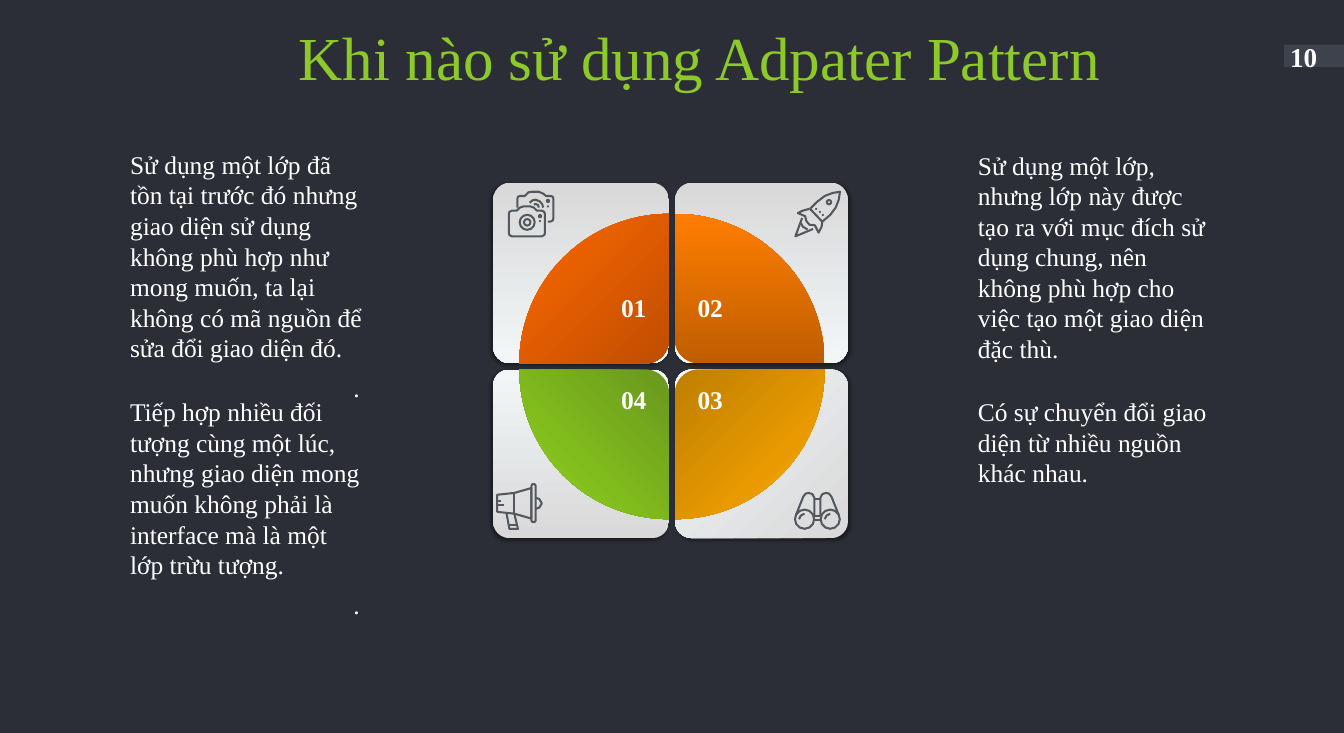
from math import cos, pi, sin

from lxml import etree
from pptx import Presentation
from pptx.dml.color import RGBColor
from pptx.enum.shapes import MSO_SHAPE
from pptx.enum.text import MSO_ANCHOR, MSO_AUTO_SIZE, PP_ALIGN
from pptx.oxml.ns import qn
from pptx.util import Pt

RECT, ROUND, OVAL = MSO_SHAPE.RECTANGLE, MSO_SHAPE.ROUNDED_RECTANGLE, MSO_SHAPE.OVAL
LEFT, RIGHT = PP_ALIGN.LEFT, PP_ALIGN.RIGHT
TOP, MIDDLE = MSO_ANCHOR.TOP, MSO_ANCHOR.MIDDLE
GROW, FIXED = MSO_AUTO_SIZE.SHAPE_TO_FIT_TEXT, MSO_AUTO_SIZE.NONE

COLORS = {"back": "2B2E36", "tab": "3D424D", "title": "8DC928", "text": "FFFFFF",
          "icon": "53585F", "panel_dark": "D9D9D9", "panel_light": "F2F6F7",
          "shadow": "000000"}
BODY = {"name": "Times New Roman", "size": Pt(30), "bold": False}
LABEL = {**BODY, "bold": True}
PAGE = {**LABEL, "size": Pt(32)}
HEADING = {**BODY, "size": Pt(72)}
HALF_GAP, PETAL_RADIUS, CORNER_RADIUS, ICON_UNIT = 3.6, 176.4, 28, 0.72

CAMERAS = {
    "strokes": [
        [(2, 38), (3, 35), (7, 33), (15, 33), (20, 28), (26, 26), (37, 26), (43, 28),
         (48, 33), (56, 33), (60, 35), (61, 38), (61, 70), (60, 73), (56, 75), (7, 75),
         (3, 73), (2, 70), (2, 38)],
        [(16, 28), (16, 14), (17, 10), (21, 9), (28, 9), (34, 3), (40, 2), (51, 2),
         (58, 5), (63, 9), (70, 9), (74, 10), (75, 14), (75, 45), (74, 49), (70, 51), (66, 51)],
        [(36, 20), (41, 16), (46, 15), (53, 18), (57, 23), (58, 28)],
        [(43, 23), (46, 22), (50, 24), (51, 28)]],
    "rings": [(32, 52, 12.3), (32, 52, 5.3)],
    "dots": [(53, 42, 3.5), (53, 50, 1.7), (66, 17, 3.5), (66, 26, 1.7)]}
ROCKET = {
    "strokes": [
        [(26, 30), (37, 19), (50, 9), (63, 4), (75, 2), (73, 15), (68, 28), (59, 40),
         (46, 51), (26, 30)],
        [(25, 30), (14, 33), (6, 37), (18, 42), (20, 50), (25, 56), (34, 57), (40, 69),
         (45, 59), (46, 51)],
        [(13, 45), (2, 75), (31, 63)],
        [(11, 53), (14, 59), (22, 64)]],
    "rings": [(57, 19, 3.5)],
    "dots": [(36, 30, 1.7), (42, 35, 1.7), (47, 40, 1.7)]}
MEGAPHONE = {
    "strokes": [
        [(2, 19), (30, 16), (58, 8), (58, 58), (30, 50), (2, 47), (2, 19)],
        [(30, 16), (30, 50)],
        [(58, 5), (59, 2), (61, 1.5), (64, 2), (65, 5), (65, 61), (64, 63), (61, 64),
         (59, 63), (58, 61), (58, 5)],
        [(17, 48), (22, 75), (36, 75), (30, 50)],
        [(22, 68), (35, 68)],
        [(65, 24), (71, 26), (75, 33), (71, 40), (65, 42)],
        [(2, 29), (9, 29)], [(2, 36), (13, 36)]],
    "rings": [], "dots": []}
BARREL = [(3, 38), (15, 8), (19, 3), (24, 2), (30, 4), (33, 10), (33, 40)]
BINOCULARS = {
    "strokes": [
        BARREL, [(76 - x, y) for x, y in BARREL],
        *[[(33, y), (43, y)] for y in (12, 40, 47)],
        *[[(x, 45), (x + 3, 39), (x + 9, 36)] for x in (8, 50)]],
    "rings": [(17, 45, 15.7), (59, 45, 15.7)], "dots": []}

QUADRANTS = [
    {"label": "01", "side": (-1, -1), "size": (207.4, 213.1), "panel_angle": 90,
     "shades": ("BF4E00", "FF6800"), "petal_angle": None,
     "icon": CAMERAS, "icon_at": (17.3, 9.3)},
    {"label": "02", "side": (1, -1), "size": (203.8, 213.1), "panel_angle": 90,
     "shades": ("BF5E00", "FF7D00"), "petal_angle": 270,
     "icon": ROCKET, "icon_at": (140.4, 9.3)},
    {"label": "03", "side": (1, 1), "size": (203.8, 198.7), "panel_angle": 225,
     "shades": ("BF7F00", "FFA900"), "petal_angle": 45,
     "icon": BINOCULARS, "icon_at": (140.4, 144)},
    {"label": "04", "side": (-1, 1), "size": (207.4, 198.7), "panel_angle": 270,
     "shades": ("6A971E", "90D51C"), "petal_angle": 135,
     "icon": MEGAPHONE, "icon_at": (3.6, 133.9)}]

LEFT_NOTES = [
    (0, 309, ["Sử dụng một lớp đã tồn tại trước đó nhưng giao diện sử dụng không phù hợp như "
              "mong muốn, ta lại không có mã nguồn để sửa đổi giao diện đó.", ". "]),
    (291.6, 273, ["Tiếp hợp nhiều đối tượng cùng một lúc, nhưng giao diện mong muốn không phải là "
                  "interface mà là một lớp trừu tượng.", ". "])]
RIGHT_NOTES = [
    (0.7, 262, ["Sử dụng một lớp, nhưng lớp này được tạo ra với mục đích sử dụng chung, nên không "
                "phù hợp cho việc tạo một giao diện đặc thù."]),
    (291.6, 117, ["Có sự chuyển đổi giao diện từ nhiều nguồn khác nhau."])]


def color(key):
    """Return the palette colour of that name."""
    return RGBColor.from_string(COLORS[key])


def write(slide, box, lines, font, ink="text", align=LEFT, anchor=TOP, wrap=True, fit=GROW):
    """Write lines in a box; lines after the first are right-aligned and looser."""
    words = slide.shapes.add_textbox(*map(Pt, box)).text_frame
    for name, value in {"word_wrap": wrap, "auto_size": fit, "vertical_anchor": anchor}.items():
        setattr(words, name, value)
    for index, line in enumerate(lines):
        paragraph = words.add_paragraph() if index else words.paragraphs[0]
        paragraph.alignment = RIGHT if index else align
        if index:
            paragraph.line_spacing = 1.3
        run = paragraph.add_run()
        run.text = line
        for name, value in font.items():
            setattr(run.font, name, value)
        run.font.color.rgb = color(ink)


def plain(shape, ink=None):
    """Strip line and shadow, and fill with a palette colour if one is named."""
    shape.shadow.inherit = False
    shape.line.fill.background()
    if ink:
        shape.fill.solid()
        shape.fill.fore_color.rgb = color(ink)
    return shape


def shade(shape, start, end, angle):
    """Fill with a gradient at a clockwise angle, or from the lower right corner if None."""
    shape.fill.gradient()
    for stop, tone, place in zip(shape.fill.gradient_stops, (start, end), (0, 1)):
        stop.color.rgb, stop.position = RGBColor.from_string(tone), place
    if angle is not None:
        shape.fill.gradient_angle = (360 - angle) % 360
        return
    gradient = shape._element.spPr.find(qn("a:gradFill"))
    linear = gradient.find(qn("a:lin"))
    radial = etree.Element(qn("a:path"), {"path": "circle"})
    etree.SubElement(radial, qn("a:fillToRect"), {"l": "100000", "t": "100000"})
    gradient.replace(linear, radial)


def cast_shadow(shape, direction):
    """Give a soft shadow in a direction in degrees."""
    effects = shape._element.spPr.find(qn("a:effectLst"))
    outer = etree.SubElement(effects, qn("a:outerShdw"), {
        "blurRad": str(Pt(4)), "dist": str(Pt(3)), "dir": str(direction * 60000),
        "algn": "ctr", "rotWithShape": "0"})
    tone = etree.SubElement(outer, qn("a:srgbClr"), {"val": COLORS["shadow"]})
    etree.SubElement(tone, qn("a:alpha"), {"val": "40000"})


def outline(slide, strokes, close=False):
    """Draw polylines given in points as one freeform."""
    strokes = [[(Pt(x), Pt(y)) for x, y in stroke] for stroke in strokes]
    builder = slide.shapes.build_freeform(*strokes[0][0], scale=1.0)
    for index, stroke in enumerate(strokes):
        if index:
            builder.move_to(*stroke[0])
        builder.add_line_segments(stroke[1:], close=close)
    return builder.convert_to_shape()


def petal(slide, corner, side, shades, angle):
    """Draw a quarter disc with a rounded inner corner."""
    turns = [step * pi / 48 for step in range(25)]
    rim = [(PETAL_RADIUS * cos(t), PETAL_RADIUS * sin(t)) for t in turns]
    inner = [(CORNER_RADIUS * (1 - cos(t)), CORNER_RADIUS * (1 - sin(t))) for t in turns]
    points = [(corner[0] + side[0] * x, corner[1] + side[1] * y) for x, y in rim + inner]
    shade(plain(outline(slide, [points], True)), *shades, angle)


def icon(slide, left, top, art):
    """Draw a line icon with its upper left corner at the given place."""
    def place(x, y):
        return left + x * ICON_UNIT, top + y * ICON_UNIT

    def disc(x, y, r):
        size = 2 * r * ICON_UNIT
        return slide.shapes.add_shape(OVAL, *map(Pt, (*place(x - r, y - r), size, size)))

    lines = outline(slide, [[place(*point) for point in stroke] for stroke in art["strokes"]])
    for shape in [lines] + [disc(*ring) for ring in art["rings"]]:
        plain(shape).fill.background()
        shape.line.color.rgb, shape.line.width = color("icon"), Pt(2.4)
    for dot in art["dots"]:
        plain(disc(*dot), "icon")


def quadrant(slide, center, label, side, size, panel_angle, shades, petal_angle, icon, icon_at):
    """Draw one panel with its petal, number and icon, placed around the center."""
    corner = [middle + sign * HALF_GAP for middle, sign in zip(center, side)]
    left, top = [at if sign > 0 else at - extent for at, sign, extent in zip(corner, side, size)]
    panel = plain(slide.shapes.add_shape(ROUND, *map(Pt, (left, top, *size))))
    panel.adjustments[0] = 0.098
    shade(panel, COLORS["panel_dark"], COLORS["panel_light"], panel_angle)
    cast_shadow(panel, 45 if side[0] > 0 else 135)
    petal(slide, corner, side, shades, petal_angle)
    label_left = center[0] + (23 if side[0] > 0 else -67.6)
    label_top = center[1] + (16.6 if side[1] > 0 else -91.4)
    write(slide, (label_left, label_top, 44.6, 44), [label], LABEL,
          align=LEFT if side[0] > 0 else RIGHT, wrap=False)
    draw_icon(slide, left + icon_at[0], top + icon_at[1], icon)


draw_icon = icon


def header(slide, left, top, width, height):
    """Draw the title and the page number tab."""
    tab_left = left + width - 72
    plain(slide.shapes.add_shape(RECT, *map(Pt, (tab_left, top + 9.4, 72, 26.6))), "tab")
    write(slide, (left, top, 1062, height), ["Khi nào sử dụng Adpater Pattern"], HEADING,
          "title", RIGHT, MIDDLE, fit=FIXED)
    write(slide, (tab_left, top, 72, height), ["10"], PAGE, anchor=MIDDLE, fit=FIXED)


def note_column(slide, left, top, width, notes):
    """Write a column of notes at their offsets from the top."""
    for offset, height, lines in notes:
        write(slide, (left, top + offset, width, height), lines, BODY)


def main():
    """Build the slide and save it."""
    deck = Presentation()
    deck.slide_width, deck.slide_height = Pt(1584), Pt(864)
    slide = deck.slides.add_slide(deck.slide_layouts[6])
    slide.background.fill.solid()
    slide.background.fill.fore_color.rgb = color("back")
    header(slide, 242, 43.2, 1343.4, 46)
    for part in QUADRANTS:
        quadrant(slide, (792, 432), **part)
    note_column(slide, 1145.5, 172.1, 292.3, RIGHT_NOTES)
    note_column(slide, 146.2, 172.1, 292.3, LEFT_NOTES)
    deck.save("out.pptx")


if __name__ == "__main__":
    main()
